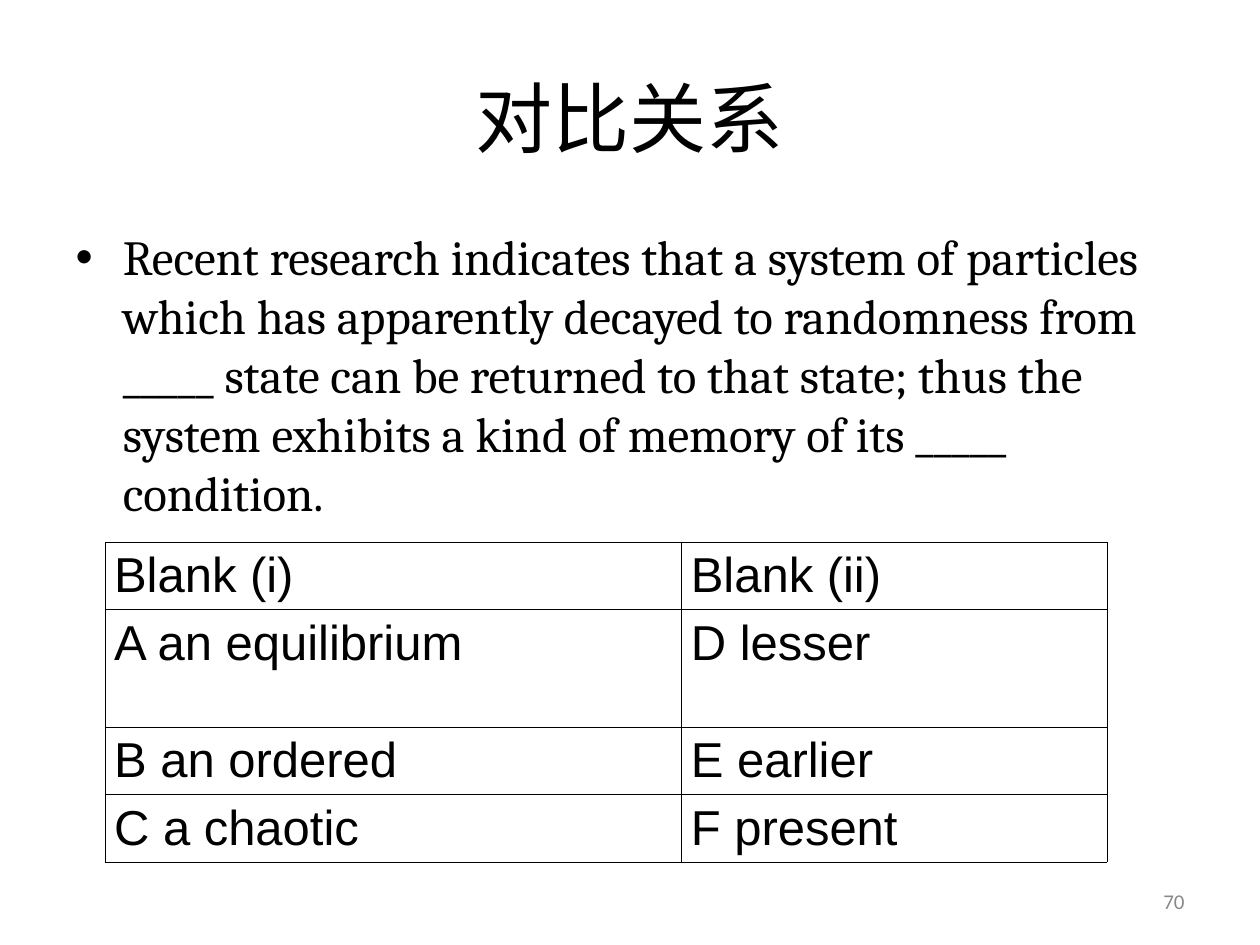
from lxml import etree
from pptx import Presentation
from pptx.dml.color import RGBColor
from pptx.enum.text import MSO_ANCHOR as ANCHOR, MSO_AUTO_SIZE as AUTO, PP_ALIGN as ALIGN
from pptx.oxml import parse_xml
from pptx.oxml.ns import nsdecls
from pptx.util import Pt

BLACK = RGBColor(0, 0, 0)
GREY = RGBColor(0x89, 0x89, 0x89)


def write(tf, text, align, **font):
    """Put one formatted paragraph into a text frame."""
    p = tf.paragraphs[0]
    p.alignment = align
    p.space_before = Pt(0)
    r = p.add_run()
    r.text = text
    for name, value in font.items():
        setattr(r.font, name, value)
    return r


def place(s, left, top, width, height):
    s.left, s.top, s.width, s.height = Pt(left), Pt(top), Pt(width), Pt(height)
    s.text_frame.word_wrap = True
    s.text_frame.auto_size = AUTO.NONE


prs = Presentation()
prs.slide_width, prs.slide_height = Pt(720), Pt(540)
slide = prs.slides.add_slide(prs.slide_layouts[1])

# Title
title = slide.shapes.title
place(title, 36, 21.6, 648, 90)
title.text_frame.vertical_anchor = ANCHOR.MIDDLE
r = write(title.text_frame, "对比关系", ALIGN.CENTER, size=Pt(44), name="Calibri")
r.font.color.rgb = BLACK

# Question
body = slide.placeholders[1]
place(body, 36, 126, 653, 356.4)
question = (
    "Recent research indicates that a system of particles which has apparently "
    "decayed to randomness from _____ state can be returned to that state; thus "
    "the system exhibits a kind of memory of its _____ condition."
)
r = write(body.text_frame, question, ALIGN.LEFT, size=Pt(28), name="Cambria")
r.font.color.rgb = BLACK

# Answer choices
rows = [
    ("Blank (i)", "Blank (ii)"),
    ("A an equilibrium", "D lesser"),
    ("B an ordered", "E earlier"),
    ("C a chaotic", "F present"),
]
widths = [329.6, 243]
heights = [38.3, 67.3, 38.3, 38.3]
table = slide.shapes.add_table(
    len(rows), len(widths), Pt(59.8), Pt(309.8), Pt(sum(widths)), Pt(sum(heights))
).table
table.first_row = table.horz_banding = False
for col, width in zip(table.columns, widths):
    col.width = Pt(width)
for row, height, texts in zip(table.rows, heights, rows):
    row.height = Pt(height)
    for cell, text in zip(row.cells, texts):
        cell.margin_left = cell.margin_right = Pt(5.4)
        cell.margin_top = cell.margin_bottom = Pt(3.6)
        cell.fill.background()
        r = write(cell.text_frame, text, ALIGN.JUSTIFY, size=Pt(28), name="Arial")
        r.font.color.rgb = BLACK
        # Thin border on each side, ahead of the fill
        for i, side in enumerate(("lnL", "lnR", "lnT", "lnB")):
            line = parse_xml(
                f'<a:{side} {nsdecls("a")} w="{Pt(0.11)}"><a:solidFill>'
                f'<a:srgbClr val="{BLACK}"/></a:solidFill></a:{side}>'
            )
            cell._tc.get_or_add_tcPr().insert(i, line)

# Slide number
number = slide.shapes.add_textbox(0, 0, 0, 0)
place(number, 516, 500.4, 168, 28.8)
number.text_frame.vertical_anchor = ANCHOR.MIDDLE
r = write(number.text_frame, "70", ALIGN.RIGHT, size=Pt(12), name="Calibri")
r.font.color.rgb = GREY

prs.save("out.pptx")
